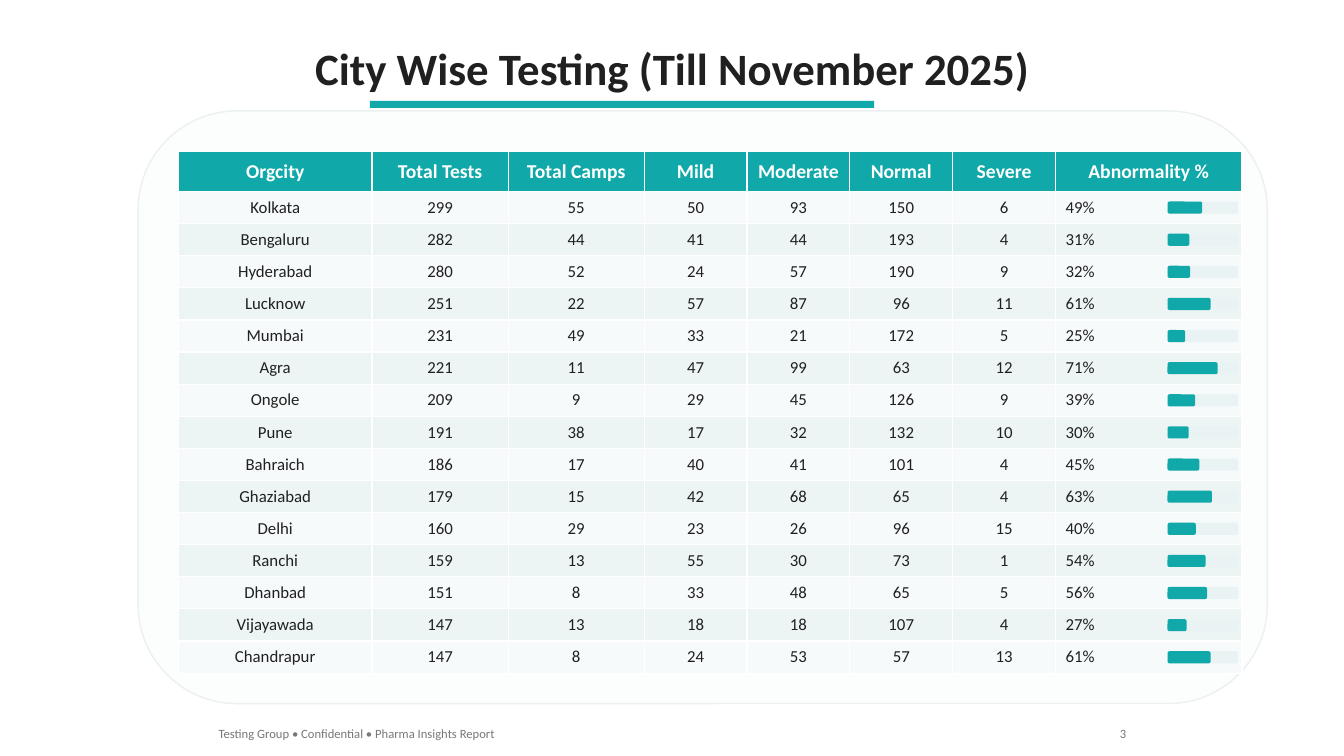
from dataclasses import dataclass, field
from typing import Any, NamedTuple

from pptx import Presentation
from pptx import util as u
from pptx.dml.color import RGBColor
from pptx.enum import shapes, text


# Theme: colours, type sizes and font
@dataclass(frozen=True)
class Theme:
    font: str = "Calibri"
    white: str = "FFFFFF"
    ink: str = "202020"
    muted: str = "787878"
    teal: str = "10A8A8"
    card: str = "FCFDFD"
    card_edge: str = "EBF0F0"
    track: str = "EAF3F3"
    bands: tuple[str, str] = ("F6FAFA", "ECF4F4")
    sizes: dict[str, int] = field(
        default_factory=lambda: {"title": 32, "header": 14, "body": 12, "footer": 9})


class Box(NamedTuple):
    left: float
    top: float
    width: float
    height: float


class City(NamedTuple):
    name: str
    tests: int
    camps: int
    mild: int
    moderate: int
    normal: int
    severe: int
    abnormality: int


class Footer(NamedTuple):
    words: str
    box: Box
    align: Any


THEME = Theme()
ALIGN = text.PP_ALIGN
RECT = shapes.MSO_SHAPE.RECTANGLE
ROUNDED = shapes.MSO_SHAPE.ROUNDED_RECTANGLE

# Content
HEADERS = ["Orgcity", "Total Tests", "Total Camps", "Mild", "Moderate",
           "Normal", "Severe", "Abnormality %"]
CITIES = [
    City("Kolkata", 299, 55, 50, 93, 150, 6, 49),
    City("Bengaluru", 282, 44, 41, 44, 193, 4, 31),
    City("Hyderabad", 280, 52, 24, 57, 190, 9, 32),
    City("Lucknow", 251, 22, 57, 87, 96, 11, 61),
    City("Mumbai", 231, 49, 33, 21, 172, 5, 25),
    City("Agra", 221, 11, 47, 99, 63, 12, 71),
    City("Ongole", 209, 9, 29, 45, 126, 9, 39),
    City("Pune", 191, 38, 17, 32, 132, 10, 30),
    City("Bahraich", 186, 17, 40, 41, 101, 4, 45),
    City("Ghaziabad", 179, 15, 42, 68, 65, 4, 63),
    City("Delhi", 160, 29, 23, 26, 96, 15, 40),
    City("Ranchi", 159, 13, 55, 30, 73, 1, 54),
    City("Dhanbad", 151, 8, 33, 48, 65, 5, 56),
    City("Vijayawada", 147, 13, 18, 18, 107, 4, 27),
    City("Chandrapur", 147, 8, 24, 53, 57, 13, 61),
]
FOOTERS = [
    Footer("Testing Group • Confidential • Pharma Insights Report",
           Box(2.07, 7.15, 3.05, 0.25), ALIGN.LEFT),
    Footer("3", Box(11, 7.15, 0.27, 0.25), ALIGN.RIGHT),
]

# Layout
TABLE = Box(1.77, 1.5, 10.57, 5.18)
COLUMN_WIDTHS = [1.92, 1.35, 1.35, 1.02, 1.02, 1.02, 1.02, 1.85]
HEADER_HEIGHT = 0.4
ROW_HEIGHT = (TABLE.height - HEADER_HEIGHT) / len(CITIES)
BAR_LEFT, BAR_WIDTH, BAR_HEIGHT = 11.58, 0.7, 0.12


def inches(box: Box) -> list[u.Length]:
    return [u.Inches(value) for value in box]


def write(frame: Any, words: str, size: str, color: str,
          align: Any, bold: bool = False) -> None:
    para = frame.paragraphs[0]
    para.alignment = align
    span = para.add_run()
    span.text = words
    formats = {"name": THEME.font, "size": u.Pt(THEME.sizes[size]), "bold": bold}
    for name, value in formats.items():
        setattr(span.font, name, value)
    span.font.color.rgb = RGBColor.from_string(color)


def fit_to_text(frame: Any) -> None:
    formats = {"word_wrap": False, "auto_size": text.MSO_AUTO_SIZE.SHAPE_TO_FIT_TEXT,
               "vertical_anchor": text.MSO_ANCHOR.TOP}
    for name, value in formats.items():
        setattr(frame, name, value)


def add_block(page: Any, kind: Any, box: Box, fill: str, edge: str | None = None) -> None:
    block = page.shapes.add_shape(kind, *inches(box))
    block.shadow.inherit = False
    block.fill.solid()
    block.fill.fore_color.rgb = RGBColor.from_string(fill)
    if edge:
        block.line.color.rgb = RGBColor.from_string(edge)
        block.line.width = u.Pt(1)
    else:
        block.line.fill.background()


def fill_cell(cell: Any, words: str, fill: str, size: str, color: str,
              align: Any, bold: bool = False) -> None:
    cell.fill.solid()
    cell.fill.fore_color.rgb = RGBColor.from_string(fill)
    cell.vertical_anchor = text.MSO_ANCHOR.MIDDLE
    write(cell.text_frame, words, size, color, align, bold)


def add_title(page: Any) -> None:
    title = page.shapes.title
    box = inches(Box(2.99, 0.35, 7.36, 0.64))
    for name, value in zip(("left", "top", "width", "height"), box):
        setattr(title, name, value)
    fit_to_text(title.text_frame)
    write(title.text_frame, "City Wise Testing (Till November 2025)",
          "title", THEME.ink, ALIGN.CENTER, bold=True)


def add_city_table(page: Any) -> None:
    table = page.shapes.add_table(len(CITIES) + 1, len(HEADERS), *inches(TABLE)).table
    for column, width in zip(table.columns, COLUMN_WIDTHS):
        column.width = u.Inches(width)
    for index, row in enumerate(table.rows):
        row.height = u.Inches(ROW_HEIGHT if index else HEADER_HEIGHT)
    for column, words in enumerate(HEADERS):
        fill_cell(table.cell(0, column), words, THEME.teal, "header",
                  THEME.white, ALIGN.CENTER, bold=True)
    for index, city in enumerate(CITIES):
        values = [*city[:-1], f"{city.abnormality}%"]
        for column, value in enumerate(values):
            align = ALIGN.LEFT if column == len(HEADERS) - 1 else ALIGN.CENTER
            fill_cell(table.cell(index + 1, column), str(value),
                      THEME.bands[index % 2], "body", THEME.ink, align)


def add_abnormality_bars(page: Any) -> None:
    first_top = TABLE.top + HEADER_HEIGHT + (ROW_HEIGHT - BAR_HEIGHT) / 2
    for index, city in enumerate(CITIES):
        track = Box(BAR_LEFT, first_top + index * ROW_HEIGHT, BAR_WIDTH, BAR_HEIGHT)
        add_block(page, ROUNDED, track, THEME.track)
        share = track._replace(width=BAR_WIDTH * city.abnormality / 100)
        add_block(page, ROUNDED, share, THEME.teal)


def add_footers(page: Any) -> None:
    for footer in FOOTERS:
        frame = page.shapes.add_textbox(*inches(footer.box)).text_frame
        fit_to_text(frame)
        write(frame, footer.words, "footer", THEME.muted, footer.align)


def main() -> None:
    deck = Presentation()
    deck.slide_width, deck.slide_height = u.Inches(13.33), u.Inches(7.5)
    page = deck.slides.add_slide(deck.slide_layouts[5])
    page.background.fill.solid()
    page.background.fill.fore_color.rgb = RGBColor.from_string(THEME.white)

    # Heading and its underline
    add_title(page)
    add_block(page, RECT, Box(3.67, 1, 5, 0.07), THEME.teal)

    # Card with table and bars
    add_block(page, ROUNDED, Box(1.37, 1.1, 11.2, 5.88), THEME.card, THEME.card_edge)
    add_city_table(page)
    add_abnormality_bars(page)

    add_footers(page)
    deck.save("out.pptx")


if __name__ == "__main__":
    main()
